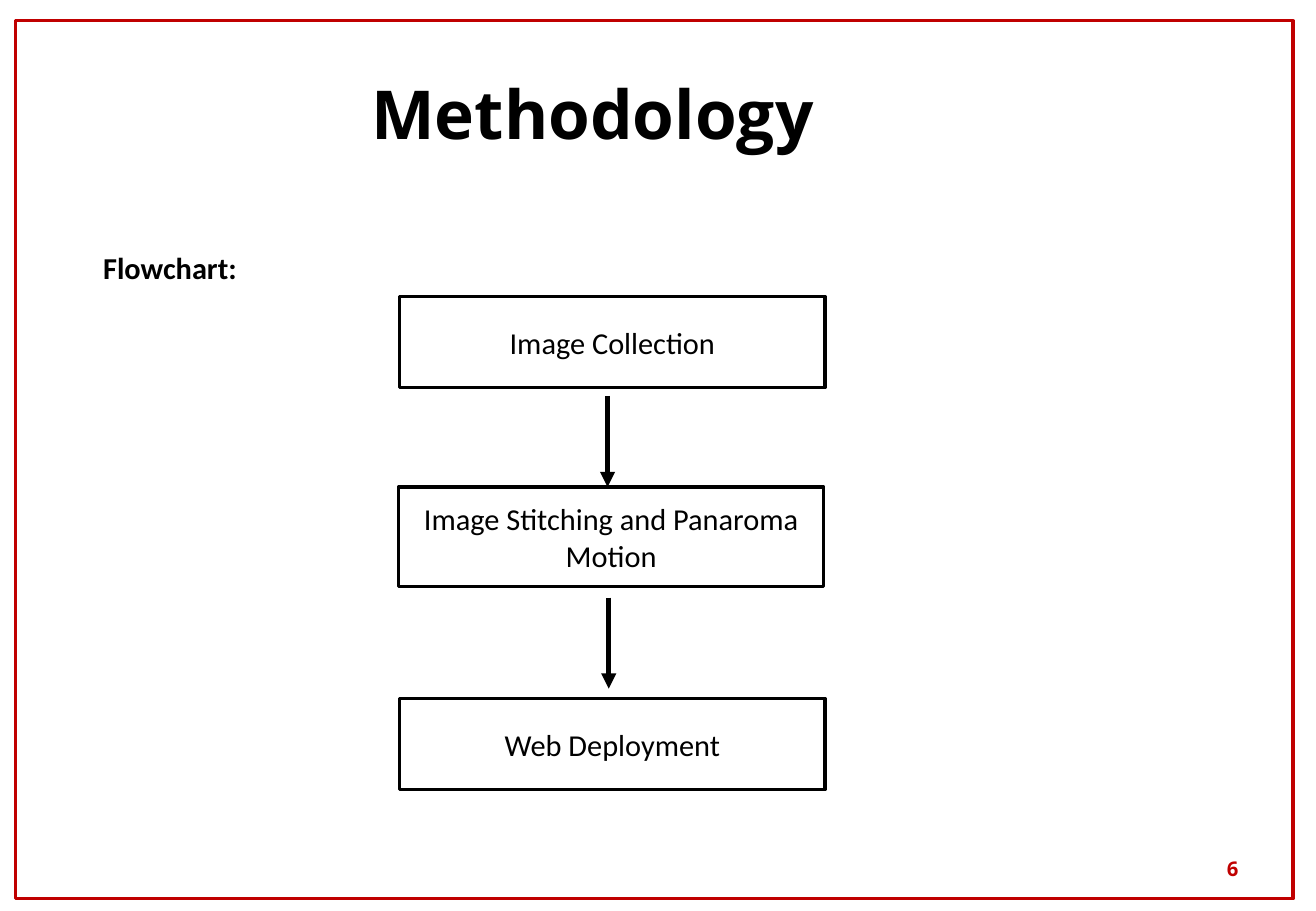
"""Build the Methodology slide with its three-step flowchart."""
from lxml import etree
from pptx import Presentation
from pptx.dml.color import RGBColor
from pptx.enum.shapes import MSO_CONNECTOR, MSO_SHAPE
from pptx.enum.text import MSO_ANCHOR, PP_ALIGN
from pptx.oxml.ns import qn
from pptx.util import Inches, Pt

RECTANGLE = MSO_SHAPE.RECTANGLE
STRAIGHT = MSO_CONNECTOR.STRAIGHT
MIDDLE, TOP = MSO_ANCHOR.MIDDLE, MSO_ANCHOR.TOP
LEFT, CENTER, RIGHT = PP_ALIGN.LEFT, PP_ALIGN.CENTER, PP_ALIGN.RIGHT
COLORS = {"red": "C00000", "black": "000000", "white": "FFFFFF"}


def write(shape, text, font, size, color, bold, align, anchor):
    """Fill a shape with one formatted paragraph."""
    frame = shape.text_frame
    frame.word_wrap = True
    frame.vertical_anchor = anchor
    frame.text = text
    para = frame.paragraphs[0]
    para.alignment = align
    span = para.runs[0]
    span.font.name = font
    span.font.size = Pt(size)
    span.font.bold = bold
    span.font.color.rgb = RGBColor.from_string(COLORS[color])


def add_box(left, top, width, height, line_color):
    """Add an outlined rectangle without fill or shadow."""
    box = page.shapes.add_shape(
        RECTANGLE, Inches(left), Inches(top), Inches(width), Inches(height))
    box.shadow.inherit = False
    box.fill.background()
    box.line.color.rgb = RGBColor.from_string(COLORS[line_color])
    box.line.width = Pt(2)
    return box


deck = Presentation()
deck.slide_width = Inches(10.83)
deck.slide_height = Inches(7.5)
page = deck.slides.add_slide(deck.slide_layouts[6])

add_box(0.13, 0.17, 10.51, 7.23, "red")

labels = [
    ("6", 7.76, 6.95, 2.53, 0.4, "Open Sans", 12, "red", RIGHT, MIDDLE),
    ("Methodology", 0, 0.3, 9.75, 1.25, "Open Sans", 40, "black", CENTER, MIDDLE),
    ("Flowchart:", 0.75, 2, 1.42, 0.4, "Calibri", 18, "black", LEFT, TOP),
]
for text, left, top, width, height, font, size, color, align, anchor in labels:
    label = page.shapes.add_textbox(
        Inches(left), Inches(top), Inches(width), Inches(height))
    write(label, text, font, size, color, True, align, anchor)

steps = [
    ("Image Collection", 3.29, 2.44, 0.75),
    ("Image Stitching and Panaroma Motion", 3.28, 4.01, 0.82),
    ("Web Deployment", 3.29, 5.75, 0.75),
]
for text, left, top, height in steps:
    step = add_box(left, top, 3.5, height, "black")
    step.fill.solid()
    step.fill.fore_color.rgb = RGBColor.from_string(COLORS["white"])
    write(step, text, "Calibri", 18, "black", False, CENTER, MIDDLE)

for x, top in [(5, 3.26), (5.01, 4.92)]:
    arrow = page.shapes.add_connector(
        STRAIGHT, Inches(x), Inches(top), Inches(x), Inches(top + 0.75))
    arrow.line.color.rgb = RGBColor.from_string(COLORS["black"])
    arrow.line.width = Pt(3)
    etree.SubElement(arrow.line._get_or_add_ln(), qn("a:tailEnd"), type="triangle")
    etree.SubElement(arrow._element.spPr, qn("a:effectLst"))

deck.save("out.pptx")
